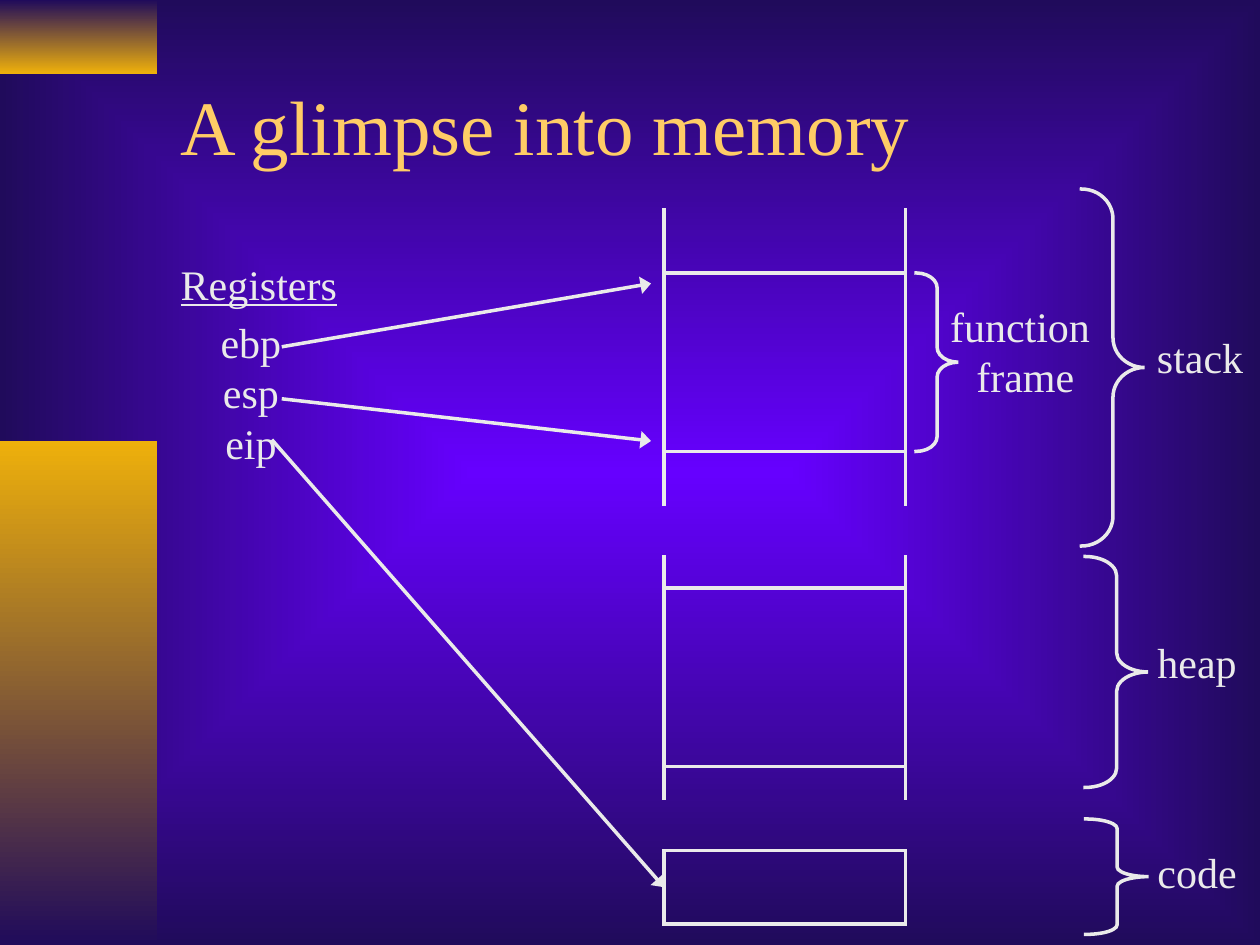
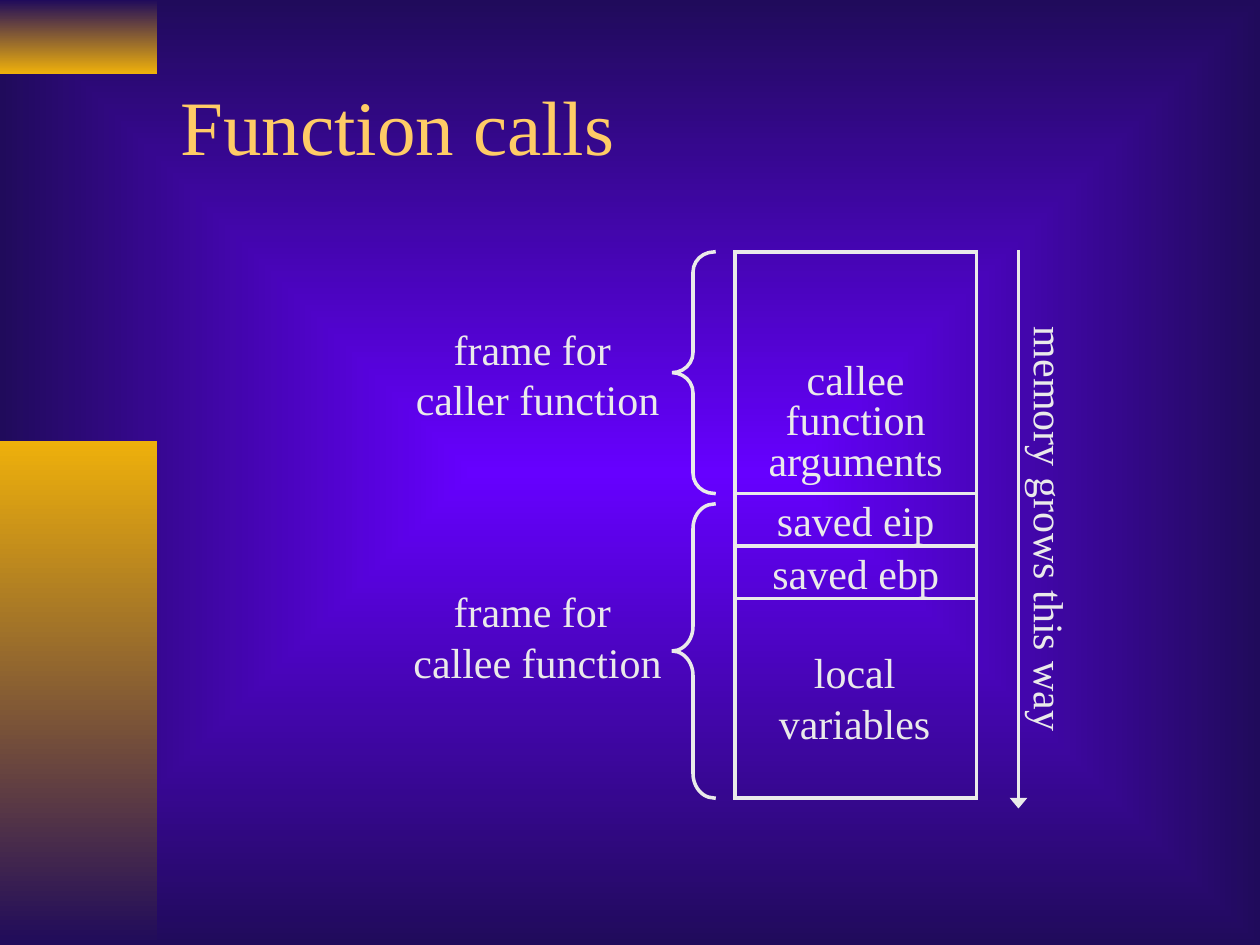
"""Build two slides that explain memory layout and function calls."""
import pptx
import pptx.dml.color
import pptx.enum.shapes
import pptx.enum.text
import pptx.oxml.ns
import pptx.util
from lxml import etree

COLUMNS, ROWS = 120, 90
CELL = pptx.util.Inches(10) // COLUMNS
FONT = "Times New Roman"
COLORS = {"glow": "6600FF", "night": "200B5B", "gold": "EEB00B",
          "title": "FFCC66", "ink": "EAEAEA"}
SHAPES = pptx.enum.shapes.MSO_SHAPE
ALIGN = pptx.enum.text.PP_ALIGN
ANCHOR = pptx.enum.text.MSO_ANCHOR
FIT = pptx.enum.text.MSO_AUTO_SIZE
MEMORY_WIDTH = 23


def color(name):
    """Return the named colour."""
    return pptx.dml.color.RGBColor.from_string(COLORS[name])


def grid(*cells):
    """Turn grid cells into lengths."""
    return [pptx.util.Emu(round(cell * CELL)) for cell in cells]


def add_element(parent, tag, **attributes):
    """Append a drawing element and return it."""
    return etree.SubElement(parent, pptx.oxml.ns.qn(tag), attributes)


def set_gradient(fill, start, end):
    """Give a fill two gradient stops running downwards."""
    fill.gradient()
    fill.gradient_angle = 270
    for stop, name in zip(fill.gradient_stops, (start, end)):
        stop.color.rgb = color(name)


def set_background(master):
    """Make the shared background glow from its centre."""
    set_gradient(master.background.fill, "glow", "night")
    linear = next(master.element.cSld.iter(pptx.oxml.ns.qn("a:lin")))
    gradient = linear.getparent()
    gradient.remove(linear)
    center = add_element(gradient, "a:path", path="rect")
    add_element(center, "a:fillToRect", l="50000", t="50000", r="50000", b="50000")


def draw_stroke(shape):
    """Give a shape a light line with square ends and corners, and return its XML."""
    shape.line.color.rgb = color("ink")
    shape.line.width = pptx.util.Pt(2)
    stroke = shape._element.spPr.find(pptx.oxml.ns.qn("a:ln"))
    stroke.set("cap", "sq")
    add_element(stroke, "a:miter", lim="800000")
    return stroke


def write(frame, text, size=24, ink="ink", align=ALIGN.CENTER, anchor=ANCHOR.TOP,
          wrap=False, underline=None, spacing=None):
    """Write one paragraph, or a list of paragraphs, into a text frame."""
    frame.word_wrap = wrap
    frame.auto_size = FIT.NONE if wrap else FIT.SHAPE_TO_FIT_TEXT
    frame.vertical_anchor = anchor
    paragraphs = [text] if isinstance(text, str) else text
    for index, content in enumerate(paragraphs):
        paragraph = frame.add_paragraph() if index else frame.paragraphs[0]
        paragraph.text = content
        paragraph.alignment = align
        paragraph.line_spacing = spacing
        for run in paragraph.runs:
            run.font.name = FONT
            run.font.size = pptx.util.Pt(size)
            run.font.color.rgb = color(ink)
            run.font.underline = underline


def add_label(slide, cells, text, rotation=0, **style):
    """Add a text box on the grid."""
    box = slide.shapes.add_textbox(*grid(*cells))
    box.rotation = rotation
    write(box.text_frame, text, **style)


def add_outline(slide, kind, cells):
    """Add an unfilled preset shape with a light line."""
    shape = slide.shapes.add_shape(kind, *grid(*cells))
    shape.shadow.inherit = False
    shape.fill.background()
    draw_stroke(shape)
    return shape


def add_block(slide, left, top, height, text=None):
    """Add a block of memory, with a centred name if given."""
    block = add_outline(slide, SHAPES.RECTANGLE, (left, top, MEMORY_WIDTH, height))
    if text:
        write(block.text_frame, text, anchor=ANCHOR.MIDDLE, wrap=True)
    return block


def add_brace(slide, kind, left, top, width, height):
    """Add a brace whose curves each take a twelfth of its height."""
    brace = add_outline(slide, kind, (left, top, width, height))
    brace.adjustments[0] = height / 12 / min(width, height)


def add_line(slide, start, end, arrow=False, target=None):
    """Add a line, with an arrowhead or a joined left side if asked."""
    line = slide.shapes.add_connector(
        pptx.enum.shapes.MSO_CONNECTOR.STRAIGHT, *grid(*start, *end))
    stroke = draw_stroke(line)
    if arrow:
        add_element(stroke, "a:tailEnd", type="triangle", w="lg")
    add_element(line._element.spPr, "a:effectLst")
    if target is not None:
        line.end_connect(target, 1)


def add_slide(presentation, title):
    """Add a slide with the gold bands and a title."""
    slide = presentation.slides.add_slide(presentation.slide_layouts[6])
    for top, height, start, end in ((0, 7, "night", "gold"), (42, 48, "gold", "night")):
        band = slide.shapes.add_shape(SHAPES.RECTANGLE, *grid(0, top, 15, height))
        band.shadow.inherit = False
        band.line.fill.background()
        set_gradient(band.fill, start, end)
    add_label(slide, (16, 4, 102, 15.8), title, size=44, ink="title",
              align=ALIGN.LEFT, anchor=ANCHOR.MIDDLE, wrap=True)
    return slide


def build_memory(presentation):
    """Show registers pointing into the stack, the heap and the code."""
    slide = add_slide(presentation, "A glimpse into memory")
    left = 63.25
    add_block(slide, left, 26, 17)
    add_block(slide, left, 56, 17)
    code = add_block(slide, left, 81, 7)
    for start, end in ((34, 20), (48, 34), (67, 53), (76, 62)):
        for wall in (left, left + MEMORY_WIDTH):
            add_line(slide, (wall, start), (wall, end))

    add_brace(slide, SHAPES.RIGHT_BRACE, 87.25, 26, 4, 17)
    add_label(slide, (89.3, 28, 16.7, 10.8), "function \nframe")
    for name, brace_left, top, height, label_top, width in (
            ("stack", 103, 18, 34, 31, 10.6),
            ("heap", 103.35, 53, 22, 60, 10),
            ("code", 103.4, 78, 11, 80, 10)):
        add_brace(slide, SHAPES.RIGHT_BRACE, brace_left, top, 6, height)
        add_label(slide, (109, label_top, width, 6), name)

    add_label(slide, (16, 24, 17.3, 6), "Registers", underline=True)
    add_label(slide, (19.8, 29.55, 8.2, 15.6), ["ebp", "esp", "eip"])
    add_line(slide, (27, 33), (62, 27), arrow=True)
    add_line(slide, (27, 38), (62, 42), arrow=True)
    add_line(slide, (26, 42), (63, 84), arrow=True, target=code)


def build_calls(presentation):
    """Show the frames of a caller and its callee."""
    slide = add_slide(presentation, "Function calls")
    left = 70
    add_block(slide, left, 24, 23)
    add_block(slide, left, 47, 29)
    add_block(slide, left, 52, 5, "saved ebp")
    add_block(slide, left, 47, 5, "saved eip")
    add_label(slide, (72, 34, 19, 12.7), "callee\nfunction\narguments", spacing=0.8)
    add_label(slide, (73, 61, 16.8, 10.8), "local\nvariables")

    for name, top, height, label_top in (("caller", 24, 23, 30.2), ("callee", 48, 28, 55.2)):
        add_brace(slide, SHAPES.LEFT_BRACE, 64, top, 4, height)
        add_label(slide, (38.1, label_top, 26.2, 10.8), f"frame for \n{name} function")

    add_line(slide, (97, 24), (97, 77), arrow=True)
    add_label(slide, (79.5, 47.5, 41.1, 6), "memory grows this way",
              rotation=90, align=ALIGN.LEFT)


def main():
    """Build and save the presentation."""
    presentation = pptx.Presentation()
    presentation.slide_width, presentation.slide_height = grid(COLUMNS, ROWS)
    set_background(presentation.slide_master)
    build_memory(presentation)
    build_calls(presentation)
    presentation.save("out.pptx")


if __name__ == "__main__":
    main()
